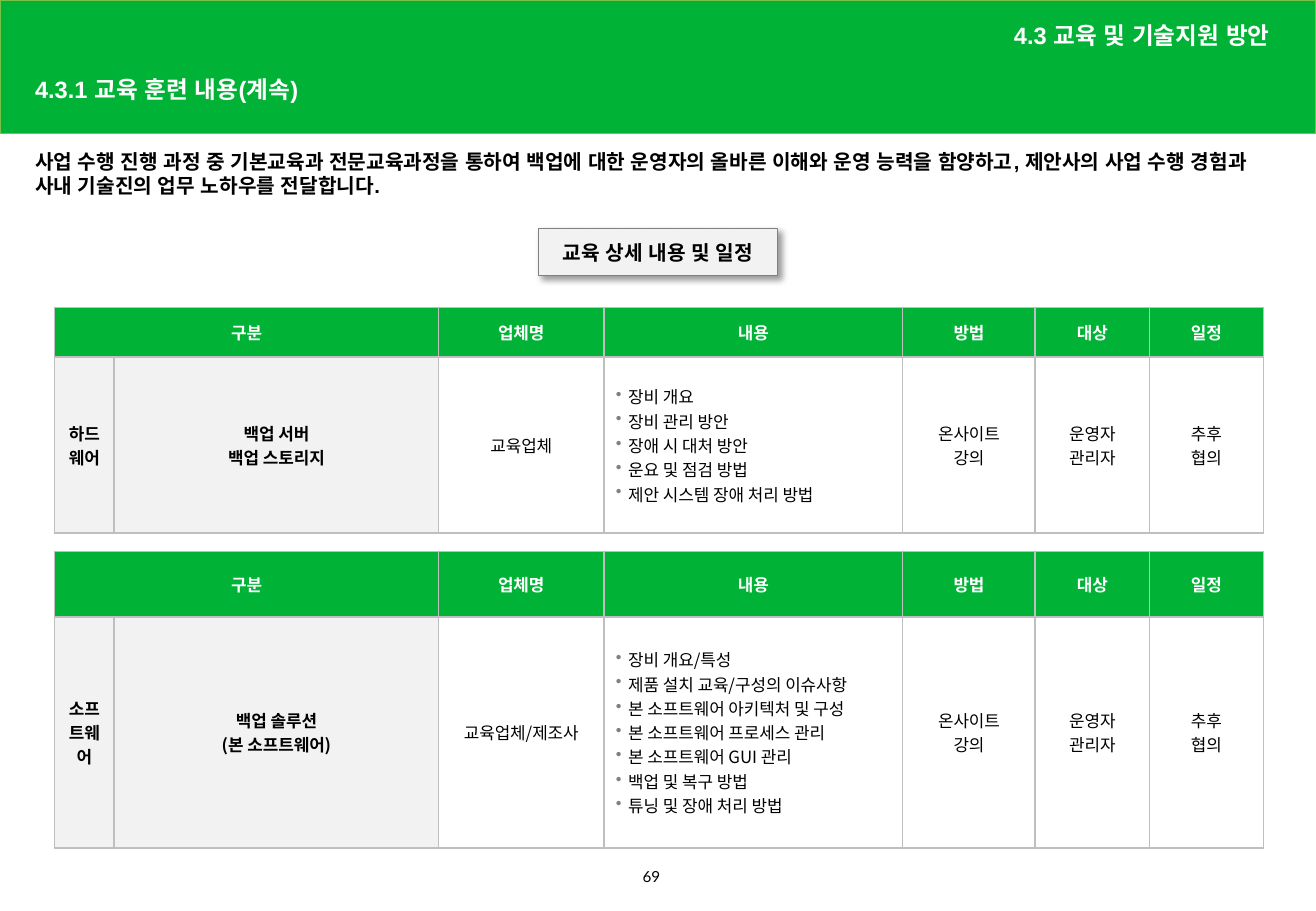
from dataclasses import dataclass

import lxml.etree
import pptx
import pptx.dml.color
import pptx.enum.shapes
import pptx.enum.text
import pptx.oxml.ns
import pptx.util

SCALE = 9144  # EMU in one px, 100 px to the inch

RGBColor = pptx.dml.color.RGBColor
GREEN = RGBColor(0x00, 0xB3, 0x36)
LIME = RGBColor(0x7B, 0xC1, 0x44)
WHITE = RGBColor(0xFF, 0xFF, 0xFF)
BLACK = RGBColor(0x00, 0x00, 0x00)
PALE = RGBColor(0xF2, 0xF2, 0xF2)
SILVER = RGBColor(0xBF, 0xBF, 0xBF)
GRAY = RGBColor(0x80, 0x80, 0x80)

ALIGN = pptx.enum.text.PP_ALIGN
ANCHOR = pptx.enum.text.MSO_ANCHOR
RECTANGLE = pptx.enum.shapes.MSO_SHAPE.RECTANGLE
TABLE_FONT = "Noto Sans CJK KR"

HEADINGS = ["구분", "", "업체명", "내용", "방법", "대상", "일정"]
COLUMN_WIDTHS = [49, 267, 136, 246, 109, 94, 94]
TOPICS_COLUMN = 3


@dataclass(frozen=True)
class Style:
    size: int
    color: RGBColor
    bold: bool = True
    font: str = "Arial"


@dataclass(frozen=True)
class Label:
    text: str
    left: int
    top: int
    width: int
    height: int
    style: Style
    align: ALIGN = ALIGN.LEFT
    anchor: ANCHOR = ANCHOR.TOP
    line_spacing: float = 1.0


@dataclass(frozen=True)
class Course:
    top: int
    row_heights: tuple[int, int]
    category: str
    subject: list[str]
    vendor: str
    topics: list[str]


HEADER = Style(14, WHITE)
LABELS = [
    Label("4.3.1 교육 훈련 내용(계속)", 19, 59, 640, 31, HEADER,
          anchor=ANCHOR.MIDDLE, line_spacing=0.9),
    Label("사업 수행 진행 과정 중 기본교육과 전문교육과정을 통하여 백업에 대한 운영자의 "
          "올바른 이해와 운영 능력을 함양하고, 제안사의 사업 수행 경험과 사내 기술진의 "
          "업무 노하우를 전달합니다.", 19, 118, 1035, 118, Style(12, BLACK)),
    Label("4.3 교육 및 기술지원 방안", 575, 11, 480, 39, HEADER,
          ALIGN.RIGHT, ANCHOR.MIDDLE, 0.9),
    Label("69", 519, 709, 45, 28, Style(9, BLACK, False, "Lato")),
]

COURSES = [
    Course(253, (41, 145), "하드웨어", ["백업 서버", "백업 스토리지"], "교육업체",
           ["장비 개요", "장비 관리 방안", "장애 시 대처 방안", "운요 및 점검 방법",
            "제안 시스템 장애 처리 방법"]),
    Course(454, (54, 190), "소프트웨어", ["백업 솔루션", "(본 소프트웨어)"], "교육업체/제조사",
           ["장비 개요/특성", "제품 설치 교육/구성의 이슈사항",
            "본 소프트웨어 아키텍처 및 구성", "본 소프트웨어 프로세스 관리",
            "본 소프트웨어 GUI 관리", "백업 및 복구 방법", "튜닝 및 장애 처리 방법"]),
]


def px(length: int) -> pptx.util.Emu:
    return pptx.util.Emu(length * SCALE)


def add_element(parent, tag: str, **attributes):
    return lxml.etree.SubElement(parent, pptx.oxml.ns.qn(tag), attributes)


def add_span(para, text: str, style: Style) -> None:
    span = para.add_run()
    span.text = text
    span.font.size = pptx.util.Pt(style.size)
    span.font.bold = style.bold
    span.font.color.rgb = style.color
    span.font.name = style.font
    add_element(span.font._element, "a:ea", typeface=style.font)


def add_label(page, label: Label) -> None:
    box = page.shapes.add_textbox(
        px(label.left), px(label.top), px(label.width), px(label.height))
    frame = box.text_frame
    frame.word_wrap = True
    frame.vertical_anchor = label.anchor
    para = frame.paragraphs[0]
    para.alignment = label.align
    para.line_spacing = label.line_spacing
    add_span(para, label.text, label.style)


def add_rectangle(page, left: int, top: int, width: int, height: int,
                  fill: RGBColor, line: RGBColor, line_width: float):
    shape = page.shapes.add_shape(RECTANGLE, px(left), px(top), px(width), px(height))
    shape.shadow.inherit = False
    shape.fill.solid()
    shape.fill.fore_color.rgb = fill
    shape.line.color.rgb = line
    shape.line.width = pptx.util.Pt(line_width)
    return shape


def add_caption(page) -> None:
    shape = add_rectangle(page, 443, 188, 197, 39, PALE, GRAY, 0.75)
    effects = shape._element.spPr.find(pptx.oxml.ns.qn("a:effectLst"))
    shadow = add_element(effects, "a:outerShdw", blurRad=str(pptx.util.Pt(4)),
                         dist=str(pptx.util.Pt(3)), dir="2700000", algn="tl",
                         rotWithShape="0")
    color = add_element(shadow, "a:srgbClr", val=str(BLACK))
    add_element(color, "a:alpha", val="40000")
    shape.text_frame.vertical_anchor = ANCHOR.MIDDLE
    para = shape.text_frame.paragraphs[0]
    para.alignment = ALIGN.CENTER
    para.space_after = pptx.util.Pt(2)
    add_span(para, "교육 상세 내용 및 일정", Style(12, BLACK))


def add_bullet(para) -> None:
    properties = para._p.get_or_add_pPr()
    properties.set("marL", str(px(10)))
    properties.set("indent", str(px(-10)))
    color = add_element(properties, "a:buClr")
    add_element(color, "a:srgbClr", val=str(GRAY))
    add_element(properties, "a:buChar", char="•")


def add_borders(cell) -> None:
    properties = cell._tc.get_or_add_tcPr()
    for side in ("L", "R", "T", "B"):
        line = add_element(properties, f"a:ln{side}", w=str(pptx.util.Pt(1)))
        fill = add_element(line, "a:solidFill")
        add_element(fill, "a:srgbClr", val=str(SILVER))


def fill_cell(cell, lines: list[str], style: Style, fill: RGBColor | None,
              bulleted: bool = False) -> None:
    add_borders(cell)
    if fill is None:
        cell.fill.background()
    else:
        cell.fill.solid()
        cell.fill.fore_color.rgb = fill
    cell.vertical_anchor = ANCHOR.MIDDLE
    frame = cell.text_frame
    for index, text in enumerate(lines):
        para = frame.add_paragraph() if index else frame.paragraphs[0]
        para.alignment = ALIGN.LEFT if bulleted else ALIGN.CENTER
        if bulleted:
            add_bullet(para)
        if text:
            add_span(para, text, style)


def add_course(page, course: Course) -> None:
    table = page.shapes.add_table(
        2, len(COLUMN_WIDTHS), px(45), px(course.top),
        px(sum(COLUMN_WIDTHS)), px(sum(course.row_heights))).table
    table.first_row = table.horz_banding = False
    for column, width in zip(table.columns, COLUMN_WIDTHS):
        column.width = px(width)
    for row, height in zip(table.rows, course.row_heights):
        row.height = px(height)

    contents = [[course.category], course.subject, [course.vendor], course.topics,
                ["온사이트", "강의"], ["운영자", "관리자"], ["추후", "협의"]]
    for index, (heading, lines) in enumerate(zip(HEADINGS, contents)):
        is_key = index < 2
        fill_cell(table.cell(0, index), [heading],
                  Style(10, WHITE, font=TABLE_FONT), GREEN)
        fill_cell(table.cell(1, index), lines, Style(10, BLACK, is_key, TABLE_FONT),
                  PALE if is_key else None, index == TOPICS_COLUMN)
    table.cell(0, 0).merge(table.cell(0, 1))


def main() -> None:
    deck = pptx.Presentation()
    deck.slide_width, deck.slide_height = px(1083), px(750)
    page = deck.slides.add_slide(deck.slide_layouts[6])

    # Green band with the headings, introduction and page number
    add_rectangle(page, 0, 0, 1083, 110, GREEN, LIME, 1)
    for label in LABELS:
        add_label(page, label)

    # Caption and the two course tables
    add_caption(page)
    for course in COURSES:
        add_course(page, course)

    deck.save("out.pptx")


if __name__ == "__main__":
    main()
